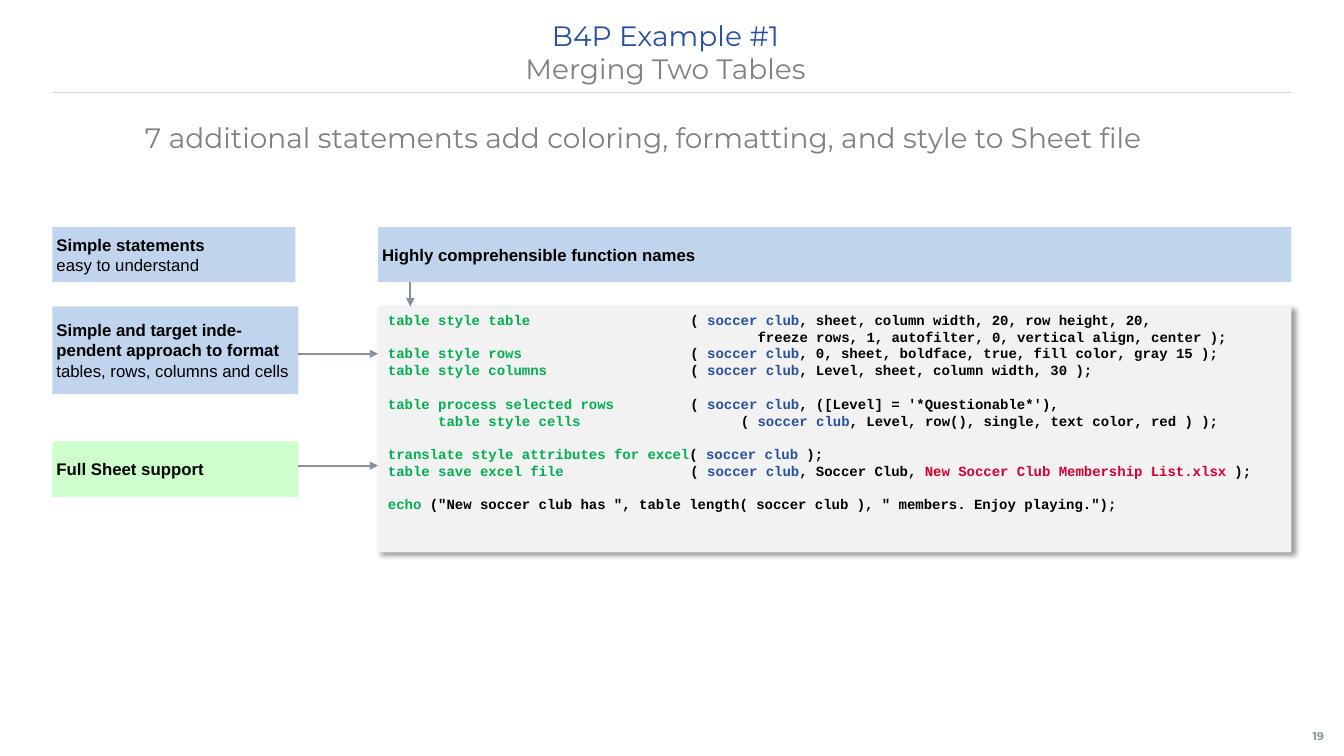
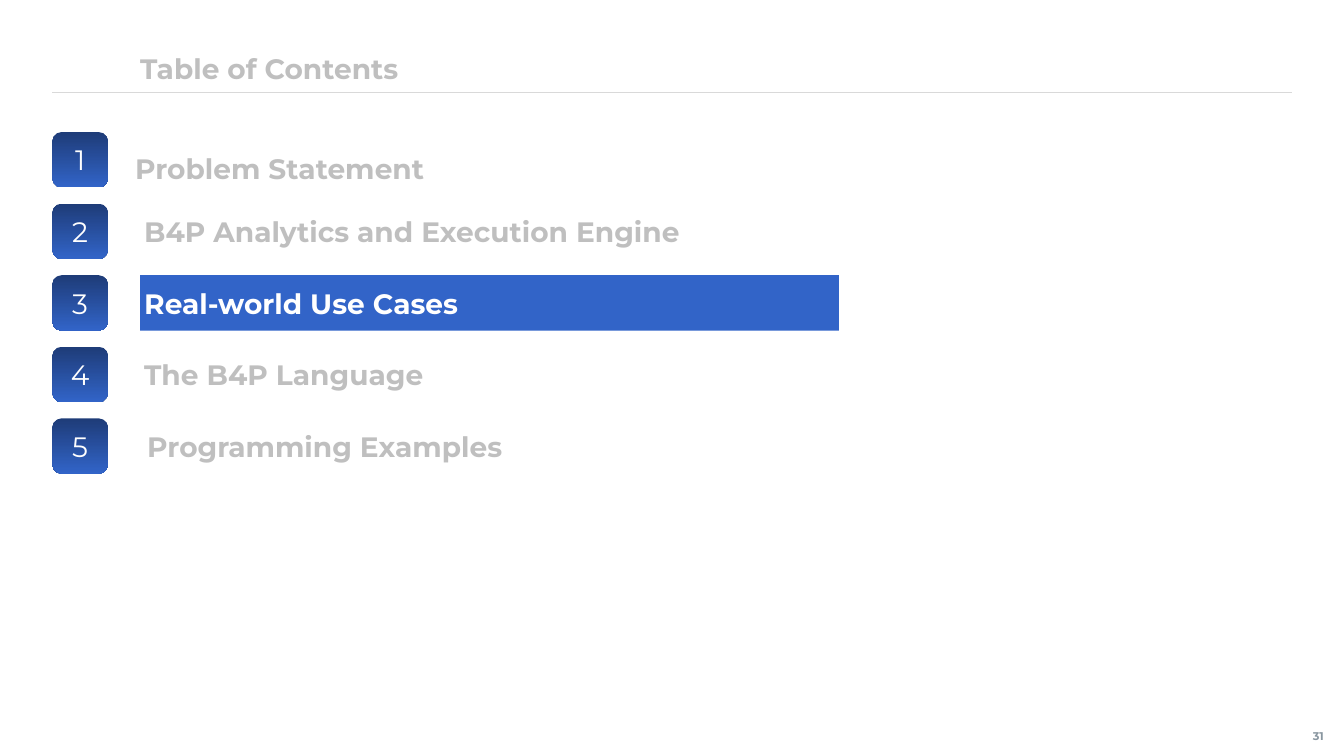
from lxml.etree import SubElement
from pptx import Presentation
from pptx.dml.color import RGBColor
from pptx.enum.shapes import MSO_CONNECTOR, MSO_SHAPE
from pptx.enum.text import MSO_ANCHOR, PP_ALIGN
from pptx.oxml.ns import qn
from pptx.util import Inches, Pt

BLACK = RGBColor(0x00, 0x00, 0x00)
WHITE = RGBColor(0xFF, 0xFF, 0xFF)
BLUE = RGBColor(0x28, 0x50, 0xA0)
NAVY = RGBColor(0x1E, 0x3C, 0x78)
BRIGHT_BLUE = RGBColor(0x32, 0x64, 0xC8)
PALE_BLUE = RGBColor(0xC1, 0xD4, 0xEE)
PALE_GREEN = RGBColor(0xCC, 0xFF, 0xCC)
GREEN = RGBColor(0x00, 0xB0, 0x50)
RED = RGBColor(0xD5, 0x00, 0x32)
GRAY = RGBColor(0x80, 0x80, 0x80)
SILVER = RGBColor(0xBF, 0xBF, 0xBF)
RULE_GRAY = RGBColor(0xD9, 0xD9, 0xD9)
PANEL_GRAY = RGBColor(0xF2, 0xF2, 0xF2)
ARROW_GRAY = RGBColor(0x85, 0x93, 0x9D)
NUMBER_GRAY = RGBColor(0x89, 0x96, 0xA0)

TITLE = dict(name="Montserrat", size=Pt(20), bold=False)
HEADING = dict(TITLE, bold=True)
NUMBER = dict(HEADING, size=Pt(8))
NOTE = dict(name="Arial", size=Pt(12), bold=False)
NOTE_BOLD = dict(NOTE, bold=True)
CODE = dict(name="Courier New", size=Pt(10), bold=True)

LEFT, RIGHT = 0.52, 12.81
RULE_Y = 0.92
BAR_H = 0.55
TIGHT = (0.04,) * 4
TITLE_INSETS = (0, 0.05, 0.1, 0.05)

# Example slide: notes on the left, code on the right
NOTE_W = 2.44
CODE_X, CODE_Y, CODE_H = 3.75, 3.04, 2.44
CODE_W = RIGHT - CODE_X
BAR_Y = 2.25
CODE_LINE = Pt(12)
CHARS_PER_INCH = 12
CALL_COLUMN = 36

# Contents slide: one row per chapter
ROW_Y, ROW_PITCH = 1.31, 0.71
ITEM_X, ITEM_W = 1.39, 6.93

CLUB = ("soccer club", BLUE)
OPEN = ("\t( ", BLACK)
# Each line: tab column in characters, blank line before it, coloured pieces
CODE_LINES = [
    (CALL_COLUMN, False, [("table style table", GREEN), OPEN, CLUB,
                          (", sheet, column width, 20, row height, 20,", BLACK)]),
    (44, False, [("\tfreeze rows, 1, autofilter, 0, vertical align, center );", BLACK)]),
    (CALL_COLUMN, False, [("table style rows", GREEN), OPEN, CLUB,
                          (", 0, sheet, boldface, true, fill color, gray 15 );", BLACK)]),
    (CALL_COLUMN, False, [("table style columns", GREEN), OPEN, CLUB,
                          (", Level, sheet, column width, 30 );", BLACK)]),
    (CALL_COLUMN, True, [("table process selected rows", GREEN), OPEN, CLUB,
                         (", ([Level] = '*Questionable*'),", BLACK)]),
    (42, False, [("      table style cells", GREEN), OPEN, CLUB,
                 (", Level, row(), single, text color, red ) );", BLACK)]),
    (CALL_COLUMN, True, [("translate style attributes for excel", GREEN),
                         ("( ", BLACK), ("soccer club ", BLUE), (");", BLACK)]),
    (CALL_COLUMN, False, [("table save excel file", GREEN), OPEN, CLUB,
                          (", Soccer Club, ", BLACK),
                          ("New Soccer Club Membership List.xlsx", RED),
                          (" );", BLACK)]),
    (CALL_COLUMN, True, [("echo ", GREEN),
                         ('("New soccer club has ", table length( soccer club ), '
                          '" members. Enjoy playing.");', BLACK)]),
]

# Each chapter: text, shift right and down from its row
CHAPTERS = [
    ("Problem Statement", -0.09, 0.08),
    ("B4P Analytics and Execution Engine", 0, 0),
    ("Real-world Use Cases", 0, 0),
    ("The B4P Language", 0, 0),
    ("Programming Examples", 0.03, 0),
]
CURRENT_CHAPTER = 2


def add_run(p, text, style, color):
    r = p.add_run()
    r.text = text
    for key, value in style.items():
        setattr(r.font, key, value)
    r.font.color.rgb = color


def set_text(s, paragraphs, align=PP_ALIGN.LEFT, anchor=MSO_ANCHOR.MIDDLE, insets=TIGHT):
    """Fill a shape; each paragraph is a list of (text, style, colour)."""
    tf = s.text_frame
    tf.word_wrap = True
    tf.vertical_anchor = anchor
    sides = ("margin_left", "margin_top", "margin_right", "margin_bottom")
    for side, inset in zip(sides, insets):
        setattr(tf, side, Inches(inset))
    for i, runs in enumerate(paragraphs):
        p = tf.add_paragraph() if i else tf.paragraphs[0]
        p.alignment = align
        for run in runs:
            add_run(p, *run)


def add_text(slide, box, paragraphs, **layout):
    s = slide.shapes.add_textbox(*map(Inches, box))
    set_text(s, paragraphs, **layout)


def add_box(slide, box, fill, kind=MSO_SHAPE.RECTANGLE):
    """Add a borderless shape; a pair of colours makes a downward gradient."""
    s = slide.shapes.add_shape(kind, *map(Inches, box))
    s.shadow.inherit = False
    s.line.fill.background()
    if isinstance(fill, RGBColor):
        s.fill.solid()
        s.fill.fore_color.rgb = fill
    else:
        s.fill.gradient()
        s.fill.gradient_angle = 270
        for stop, color in zip(s.fill.gradient_stops, fill):
            stop.color.rgb = color
    return s


def add_note(slide, box, fill, *paragraphs):
    set_text(add_box(slide, box, fill), paragraphs)


def add_line(slide, start, end, color, width, arrow=False):
    c = slide.shapes.add_connector(MSO_CONNECTOR.STRAIGHT, *map(Inches, start + end))
    c.line.color.rgb = color
    c.line.width = Pt(width)
    if arrow:
        SubElement(c.line._get_or_add_ln(), qn("a:tailEnd"), type="triangle")
    SubElement(c._element.spPr, qn("a:effectLst"))


def add_shadow(s):
    effects = s._element.spPr.find(qn("a:effectLst"))
    shadow = SubElement(effects, qn("a:outerShdw"), blurRad=str(Pt(4)), dist=str(Pt(3)),
                        dir=str(45 * 60000), algn="tl", rotWithShape="0")
    color = SubElement(shadow, qn("a:srgbClr"), val=str(BLACK))
    SubElement(color, qn("a:alpha"), val="40000")


def add_code(slide, box, lines):
    s = add_box(slide, box, PANEL_GRAY)
    add_shadow(s)
    set_text(s, [[(text, CODE, color) for text, color in pieces] for _, _, pieces in lines],
             anchor=MSO_ANCHOR.TOP, insets=(0.1, 0.05, 0.1, 0.05))
    for p, (column, blank_before, _) in zip(s.text_frame.paragraphs, lines):
        p.line_spacing = CODE_LINE
        if blank_before:
            p.space_before = CODE_LINE
        tabs = SubElement(p._p.get_or_add_pPr(), qn("a:tabLst"))
        SubElement(tabs, qn("a:tab"), pos=str(Inches(column / CHARS_PER_INCH)), algn="l")


def add_slide(prs, number):
    """Add a blank slide with the shared title rule and page number."""
    slide = prs.slides.add_slide(prs.slide_layouts[6])
    add_line(slide, (LEFT, RULE_Y), (RIGHT, RULE_Y), RULE_GRAY, 1)
    add_text(slide, (12.89, 7.11, 0.45, 0.39), [[(str(number), NUMBER, NUMBER_GRAY)]],
             align=PP_ALIGN.CENTER, insets=(0, 0.05, 0.08, 0.05))
    return slide


def build_example(prs):
    slide = add_slide(prs, 19)
    centred = dict(align=PP_ALIGN.CENTER, anchor=MSO_ANCHOR.TOP, insets=TITLE_INSETS)
    add_text(slide, (0.51, 0.13, 12.28, 0.79),
             [[("B4P Example #1", TITLE, BLUE)], [("Merging Two Tables", TITLE, GRAY)]],
             **centred)
    add_text(slide, (0.29, 1.15, 12.28, 0.63),
             [[("7 additional statements add coloring, formatting, and style to Sheet file",
                TITLE, GRAY)]], **centred)

    add_note(slide, (LEFT, BAR_Y, 2.41, BAR_H), PALE_BLUE,
             [("Simple statements", NOTE_BOLD, BLACK)],
             [("easy to understand", NOTE, BLACK)])
    add_note(slide, (CODE_X, BAR_Y, CODE_W, BAR_H), PALE_BLUE,
             [("Highly comprehensible function names", NOTE_BOLD, BLACK)])
    add_note(slide, (LEFT, CODE_Y, NOTE_W, 0.87), PALE_BLUE,
             [("Simple and target inde-pendent approach to format ", NOTE_BOLD, BLACK),
              ("tables, rows, columns and cells", NOTE, BLACK)])
    add_note(slide, (LEFT, 4.38, NOTE_W, BAR_H), PALE_GREEN,
             [("Full Sheet support", NOTE_BOLD, BLACK)])
    add_code(slide, (CODE_X, CODE_Y, CODE_W, CODE_H), CODE_LINES)

    arrows = [((LEFT + NOTE_W, y), (CODE_X, y)) for y in (3.51, 4.62)]
    arrows.append(((4.07, BAR_Y + BAR_H), (4.07, CODE_Y)))
    for start, end in arrows:
        add_line(slide, start, end, ARROW_GRAY, 1.5, arrow=True)


def build_contents(prs):
    slide = add_slide(prs, 31)
    add_text(slide, (1.35, 0.4, ITEM_W, BAR_H), [[("Table of Contents", HEADING, SILVER)]])
    for i, (text, dx, dy) in enumerate(CHAPTERS):
        y = ROW_Y + i * ROW_PITCH
        badge = add_box(slide, (LEFT, y, BAR_H, BAR_H), (NAVY, BRIGHT_BLUE),
                        MSO_SHAPE.ROUNDED_RECTANGLE)
        set_text(badge, [[(str(i + 1), TITLE, WHITE)]], align=PP_ALIGN.CENTER)
        box = (ITEM_X + dx, y + dy, ITEM_W, BAR_H)
        if i == CURRENT_CHAPTER:
            add_note(slide, box, BRIGHT_BLUE, [(text, HEADING, WHITE)])
        else:
            add_text(slide, box, [[(text, HEADING, SILVER)]])


def main():
    prs = Presentation()
    prs.slide_width, prs.slide_height = Inches(13.33), Inches(7.5)
    build_example(prs)
    build_contents(prs)
    prs.save("out.pptx")


if __name__ == "__main__":
    main()
